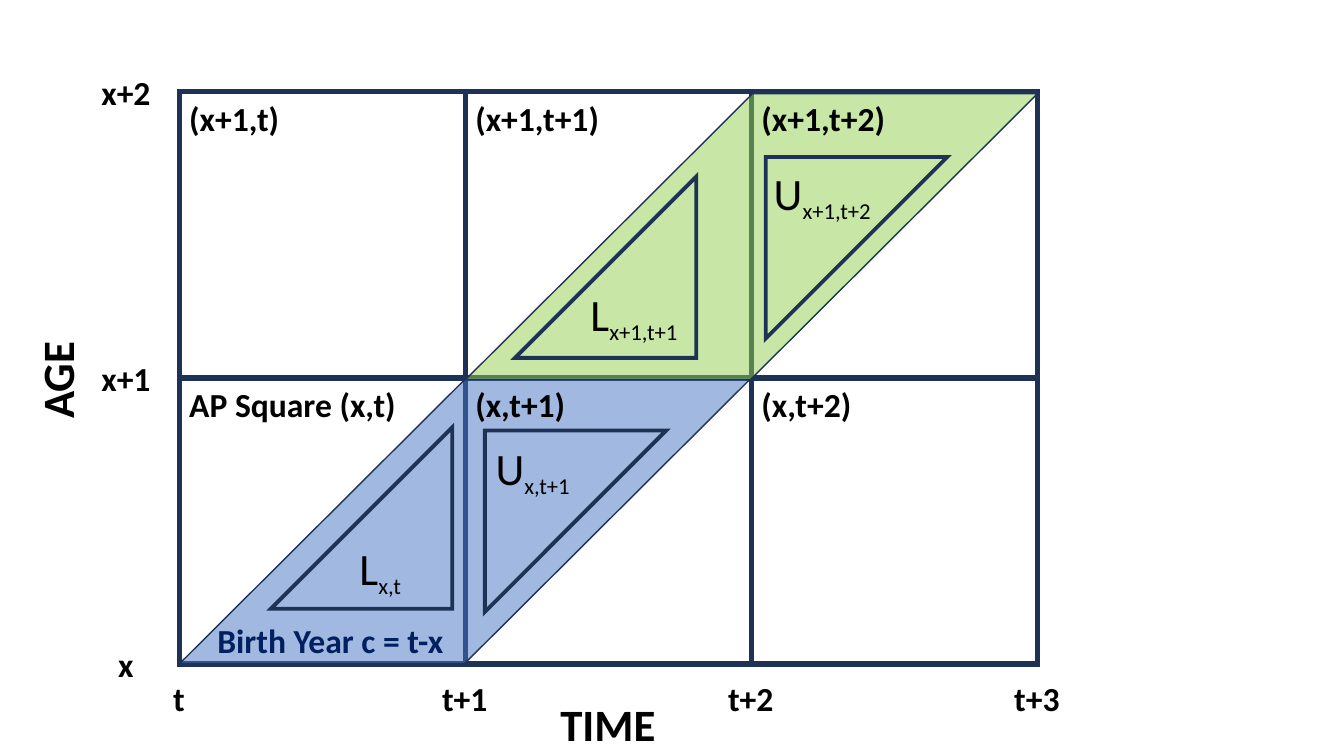
from lxml.etree import SubElement
from pptx import Presentation
from pptx.dml.color import RGBColor
from pptx.enum.shapes import MSO_SHAPE
from pptx.enum.text import MSO_AUTO_SIZE
from pptx.oxml.ns import qn
from pptx.util import Cm, Pt

THEME = {
    "font": "Calibri",
    "navy": RGBColor(0x1E, 0x32, 0x56),
    "blue": RGBColor(0x44, 0x72, 0xC4),
    "green": RGBColor(0x92, 0xD0, 0x50),
    "birth": RGBColor(0x00, 0x20, 0x60),
    "black": RGBColor(0, 0, 0),
    "title": Pt(32),
    "label": Pt(24),
    "symbol": Pt(32),
    "subscript": Pt(28),
}
LEFT, TOP, CELL = 4.52, 2.31, 7.21
LABEL_H, TITLE_H = 1.27, 1.63
TRIANGLE = 4.57

prs = Presentation()
prs.slide_width, prs.slide_height = Cm(33.87), Cm(19.05)
s = prs.slides.add_slide(prs.slide_layouts[6])


def add_outline(kind, x, y, w, h, weight, fill=None, flip=None):
    sp = s.shapes.add_shape(kind, Cm(x), Cm(y), Cm(w), Cm(h))
    sp.shadow.inherit = False
    sp.line.color.rgb = THEME["navy"]
    sp.line.width = Pt(weight)
    SubElement(sp.line._get_or_add_ln(), qn("a:miter"), lim="800000")
    if fill:
        sp.fill.solid()
        sp.fill.fore_color.rgb = THEME[fill]
        color = sp._element.spPr.find(qn("a:solidFill"))[0]
        SubElement(color, qn("a:alpha"), val="50000")
    else:
        sp.fill.background()
    if flip:
        sp._element.spPr.find(qn("a:xfrm")).set(flip, "1")
    return sp


def add_text(text, x, y, w, size="label", color="black", bold=True, sub=None):
    h = LABEL_H if size == "label" else TITLE_H
    sp = s.shapes.add_textbox(Cm(x), Cm(y), Cm(w), Cm(h))
    tf = sp.text_frame
    tf.word_wrap = False
    tf.auto_size = MSO_AUTO_SIZE.SHAPE_TO_FIT_TEXT
    p = tf.paragraphs[0]
    runs = [(text, size)] + ([(sub, "subscript")] if sub else [])
    for content, role in runs:
        r = p.add_run()
        r.text = content
        for name, value in {"name": THEME["font"], "size": THEME[role], "bold": bold}.items():
            setattr(r.font, name, value)
        r.font.color.rgb = THEME[color]
        if role == "subscript":
            r._r.get_or_add_rPr().set("baseline", "-25000")
    return sp


for row in (1, 0):
    for col in range(3):
        add_outline(MSO_SHAPE.RECTANGLE, LEFT + col * CELL, TOP + row * CELL, CELL, CELL, 4)

for col, y, fill in [(0, TOP + CELL, "blue"), (1, TOP + 0.05, "green")]:
    band = add_outline(MSO_SHAPE.PARALLELOGRAM, LEFT + col * CELL, y, 2 * CELL, CELL, 1, fill)
    band.adjustments[0] = 1.004

square_labels = [
    [("(x+1,t)", 2.82), ("(x+1,t+1)", 3.66), ("(x+1,t+2)", 3.66)],
    [("AP Square (x,t)", 5.77), ("(x,t+1)", 2.82), ("(x,t+2)", 2.82)],
]
for row, labels in enumerate(square_labels):
    for col, (text, w) in enumerate(labels):
        add_text(text, LEFT + col * CELL, TOP + row * CELL + 0.04, w)
add_text("Birth Year c = t-x", 5.23, 15.49, 6.3, color="birth")

for row, (text, w) in enumerate([("x+2", 1.75), ("x+1", 1.75), ("x", 0.91)]):
    add_text(text, 3.18 - w / 2, TOP + row * CELL - LABEL_H / 2, w)
for col, (text, w) in enumerate([("t", 0.81), ("t+1", 1.68), ("t+2", 1.68), ("t+3", 1.68)]):
    add_text(text, LEFT + col * CELL - w / 2, 16.97, w)

add_text("AGE", 0.2, 8.76, 2.46, "title").rotation = 270
add_text("TIME", 13.87, 17.42, 2.95, "title")

for letter, sub, x, y, w in [
    ("L", "x,t", 8.81, 13.49, 1.65),
    ("L", "x+1,t+1", 14.63, 7.09, 3),
    ("U", "x,t+1", 12.24, 10.97, 2.57),
    ("U", "x+1,t+2", 19.25, 4.04, 3.25),
]:
    add_text(letter, x, y, w, "symbol", bold=False, sub=sub)

for x, y, flip in [
    (6.83, 10.77, "flipH"),
    (12.22, 10.85, "flipV"),
    (12.98, 4.45, "flipH"),
    (19.3, 3.96, "flipV"),
]:
    add_outline(MSO_SHAPE.RIGHT_TRIANGLE, x, y, TRIANGLE, TRIANGLE, 2.75, flip=flip)

prs.save("out.pptx")
